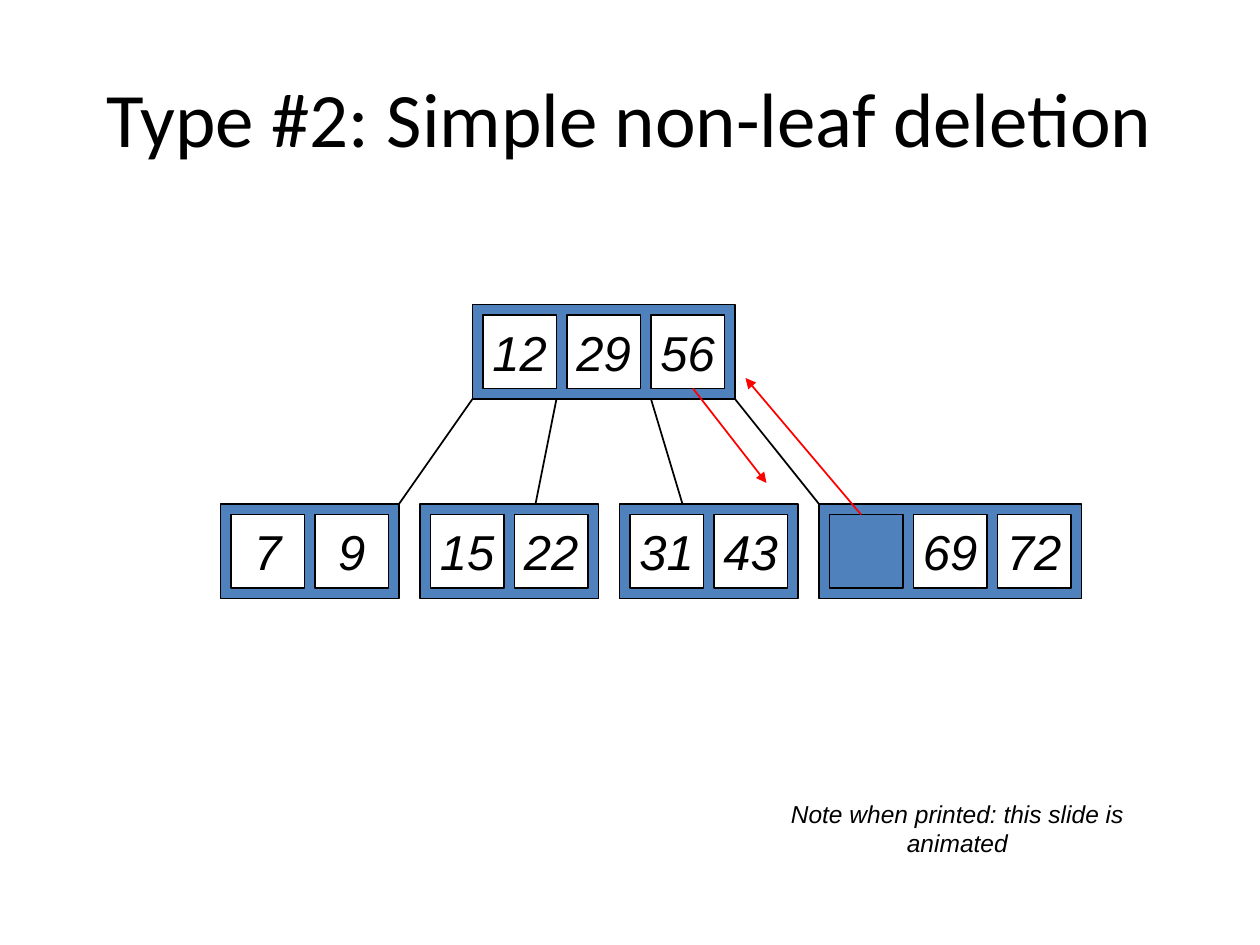
import pptx
import pptx.dml.color
import pptx.enum.shapes
import pptx.enum.text
import pptx.oxml
import pptx.oxml.ns
import pptx.util
from dataclasses import dataclass

EMU_PER_PX = 914400 // 96


def px(length):
    return pptx.util.Emu(length * EMU_PER_PX)


@dataclass(frozen=True)
class Theme:
    ink: str = "000000"
    paper: str = "FFFFFF"
    node: str = "4F81BD"
    move: str = "FF0000"
    title_font: str = "Calibri"
    body_font: str = "Arial"
    title_size: int = 44
    key_size: int = 28
    note_size: int = 14
    line_width: int = 1


class TreeSlide:
    CELL = 56    # side of a key cell
    MARGIN = 8   # gap around and between cells
    STEP = CELL + MARGIN

    def __init__(self, slide, theme):
        self.slide = slide
        self.theme = theme

    def color(self, value):
        return pptx.dml.color.RGBColor.from_string(value)

    def set_text(self, shape, text, font, size, italic=False, wrap=True):
        frame = shape.text_frame
        frame.text = text
        frame.word_wrap = wrap
        frame.vertical_anchor = pptx.enum.text.MSO_ANCHOR.MIDDLE
        paragraph = frame.paragraphs[0]
        paragraph.alignment = pptx.enum.text.PP_ALIGN.CENTER
        for run in paragraph.runs:
            run.font.name = font
            run.font.size = pptx.util.Pt(size)
            run.font.italic = italic
            run.font.color.rgb = self.color(self.theme.ink)

    def text(self, text, left, top, width, height, font, size, italic=False):
        box = self.slide.shapes.add_textbox(px(left), px(top), px(width), px(height))
        self.set_text(box, text, font, size, italic)

    def rectangle(self, left, top, width, height, fill):
        box = self.slide.shapes.add_shape(
            pptx.enum.shapes.MSO_SHAPE.RECTANGLE, px(left), px(top), px(width), px(height))
        box.shadow.inherit = False
        box.fill.solid()
        box.fill.fore_color.rgb = self.color(fill)
        box.line.color.rgb = self.color(self.theme.ink)
        box.line.width = pptx.util.Pt(self.theme.line_width)
        return box

    def node(self, left, top, keys):
        """Draw a tree node; a key of None is an emptied slot."""
        width = len(keys) * self.STEP + self.MARGIN
        self.rectangle(left, top, width, self.CELL + 2 * self.MARGIN, self.theme.node)
        for index, key in enumerate(keys):
            fill = self.theme.node if key is None else self.theme.paper
            cell = self.rectangle(left + self.MARGIN + index * self.STEP,
                                  top + self.MARGIN, self.CELL, self.CELL, fill)
            if key is not None:
                self.set_text(cell, str(key), self.theme.body_font, self.theme.key_size,
                              italic=True, wrap=False)

    def line(self, start, end, color, arrow=False):
        link = self.slide.shapes.add_connector(
            pptx.enum.shapes.MSO_CONNECTOR.STRAIGHT, *map(px, start + end))
        link.line.color.rgb = self.color(color)
        link.line.width = pptx.util.Pt(self.theme.line_width)
        properties = link._element.spPr
        if arrow:
            outline = properties.find(pptx.oxml.ns.qn("a:ln"))
            outline.append(pptx.oxml.parse_xml(
                f'<a:tailEnd {pptx.oxml.ns.nsdecls("a")} type="triangle"/>'))
        properties.append(pptx.oxml.parse_xml(
            f'<a:effectLst {pptx.oxml.ns.nsdecls("a")}/>'))


def main():
    presentation = pptx.Presentation()
    presentation.slide_width, presentation.slide_height = px(960), px(720)
    theme = Theme()
    tree = TreeSlide(presentation.slides.add_slide(presentation.slide_layouts[6]), theme)

    # Title
    tree.text("Type #2: Simple non-leaf deletion", 48, 29, 864, 120,
              theme.title_font, theme.title_size)

    # Root and leaves
    root_top, leaf_top, leaf_gap = 232, 384, 16
    tree.node(360, root_top, [12, 29, 56])
    leaf_left = 168
    for keys in ([7, 9], [15, 22], [31, 43], [None, 69, 72]):
        tree.node(leaf_left, leaf_top, keys)
        leaf_left += len(keys) * tree.STEP + tree.MARGIN + leaf_gap

    # Branches from the root to each leaf
    root_bottom = root_top + tree.CELL + 2 * tree.MARGIN
    for root_x, leaf_x in ((360, 304), (424, 408), (496, 520), (560, 624)):
        tree.line((root_x, root_bottom), (leaf_x, leaf_top), theme.ink)

    # Key moves: deleted key out, successor up
    tree.line((528, 296), (584, 368), theme.move, arrow=True)
    tree.line((656, 392), (568, 288), theme.move, arrow=True)

    # Printing note
    tree.text("Note when printed: this slide is animated", 553, 615, 353, 32,
              theme.body_font, theme.note_size, italic=True)

    presentation.save("out.pptx")


if __name__ == "__main__":
    main()
